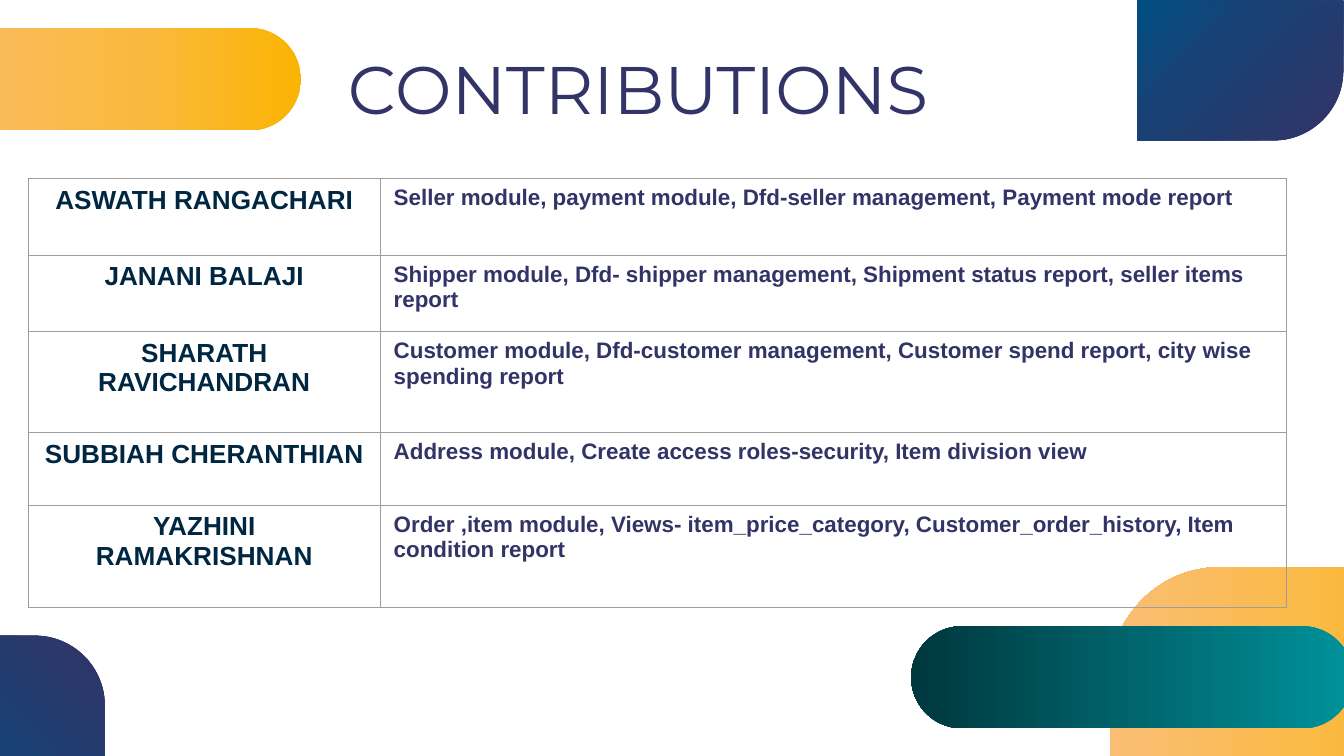
from lxml import etree
from pptx import Presentation, util as u
from pptx.dml.color import RGBColor
from pptx.enum import shapes, text
from pptx.oxml.ns import qn

COLORS = {"navy": "323366", "ink": "002742", "border": "9E9E9E"}
GRADIENTS = {
    "yellow": (180, [(0, "FAB403"), (34, "FAB93C"), (100, "FABE75")]),
    "blue": (225, [(0, "323366"), (63, "194175"), (100, "004F83")]),
    "teal": (180, [(0, "00929B"), (100, "00373D")]),
}
CONTRIBUTIONS = [
    ("ASWATH RANGACHARI", 0.57,
     "Seller module, payment module, Dfd-seller management, Payment mode report"),
    ("JANANI BALAJI", 0.57,
     "Shipper module, Dfd- shipper management, Shipment status report, seller items report"),
    ("SHARATH RAVICHANDRAN", 0.75,
     "Customer module, Dfd-customer management, Customer spend report, city wise spending report"),
    ("SUBBIAH CHERANTHIAN", 0.54,
     "Address module, Create access roles-security, Item division view"),
    ("YAZHINI RAMAKRISHNAN", 0.76,
     "Order ,item module, Views- item_price_category, Customer_order_history, Item condition report"),
]


class SlideBuilder:
    """Holds the style and the current slide, and adds each kind of element."""

    def __init__(self, slide):
        self.slide = slide
        self.title_font = "Montserrat"
        self.body_font = "Arial"

    def add_run(self, paragraph, words, size, color, font, bold=False):
        run = paragraph.add_run()
        run.text = words
        run.font.size = u.Pt(size)
        run.font.name = font
        run.font.bold = bold
        run.font.color.rgb = RGBColor.from_string(COLORS[color])

    def add_block(self, kind, box, gradient, adjustments=(0.5,), rotation=0):
        shape = self.slide.shapes.add_shape(kind, *map(u.Inches, box))
        for index, value in enumerate(adjustments):
            shape.adjustments[index] = value
        shape.rotation = rotation
        shape.shadow.inherit = False
        shape.line.fill.background()
        angle, stops = GRADIENTS[gradient]
        shape.fill.gradient()
        shape.fill.gradient_angle = angle
        stop_list = next(shape._element.iter(qn("a:gsLst")))
        for stop in list(stop_list):
            stop_list.remove(stop)
        for position, color in stops:
            stop = etree.SubElement(stop_list, qn("a:gs"), pos=str(position * 1000))
            etree.SubElement(stop, qn("a:srgbClr"), val=color)

    def add_title(self, words, box):
        frame = self.slide.shapes.add_textbox(*map(u.Inches, box)).text_frame
        frame.word_wrap = True
        frame.vertical_anchor = text.MSO_ANCHOR.MIDDLE
        frame.margin_left = frame.margin_right = u.Inches(0.1)
        frame.margin_top = frame.margin_bottom = u.Inches(0.1)
        self.add_run(frame.paragraphs[0], words, 36, "navy", self.title_font)

    def add_borders(self, cell):
        properties = cell._tc.get_or_add_tcPr()
        for index, side in enumerate(("a:lnL", "a:lnR", "a:lnT", "a:lnB")):
            line = etree.Element(qn(side), w=str(u.Pt(0.75)))
            fill = etree.SubElement(line, qn("a:solidFill"))
            etree.SubElement(fill, qn("a:srgbClr"), val=COLORS["border"])
            properties.insert(index, line)

    def add_table(self, rows, left, top, widths):
        height = sum(row[1] for row in rows)
        table = self.slide.shapes.add_table(
            len(rows), len(widths),
            *map(u.Inches, (left, top, sum(widths), height))).table
        table.first_row = table.horz_banding = False
        for column, width in zip(table.columns, widths):
            column.width = u.Inches(width)
        for row, (name, row_height, work) in zip(table.rows, rows):
            row.height = u.Inches(row_height)
            name_cell, work_cell = row.cells
            for cell, words, size, color in ((name_cell, name, 14, "ink"),
                                             (work_cell, work, 12, "navy")):
                cell.fill.background()
                self.add_borders(cell)
                self.add_run(cell.text_frame.paragraphs[0], words, size, color,
                             self.body_font, bold=True)
            name_cell.text_frame.paragraphs[0].alignment = text.PP_ALIGN.CENTER


def main():
    presentation = Presentation()
    presentation.slide_width = u.Inches(10)
    presentation.slide_height = u.Inches(5.625)
    builder = SlideBuilder(presentation.slides.add_slide(presentation.slide_layouts[6]))
    kinds = shapes.MSO_SHAPE
    builder.add_block(kinds.ROUND_2_DIAG_RECTANGLE, (8.26, 4.22, 2.76, 1.64), "yellow", (0.5, 0))
    builder.add_block(kinds.ROUNDED_RECTANGLE, (-1.05, 0.21, 3.29, 0.76), "yellow")
    builder.add_block(kinds.ROUND_1_RECTANGLE, (-0.26, 4.73, 1.04, 1.53), "blue")
    builder.add_title("CONTRIBUTIONS", (2.49, 0.26, 4.81, 0.79))
    builder.add_block(kinds.ROUNDED_RECTANGLE, (6.78, 4.66, 3.29, 0.76), "teal")
    builder.add_block(kinds.ROUND_1_RECTANGLE, (8.71, -0.24, 1.04, 1.53), "blue", rotation=90)
    builder.add_table(CONTRIBUTIONS, 0.21, 1.33, (2.62, 6.74))
    presentation.save("out.pptx")


if __name__ == "__main__":
    main()
